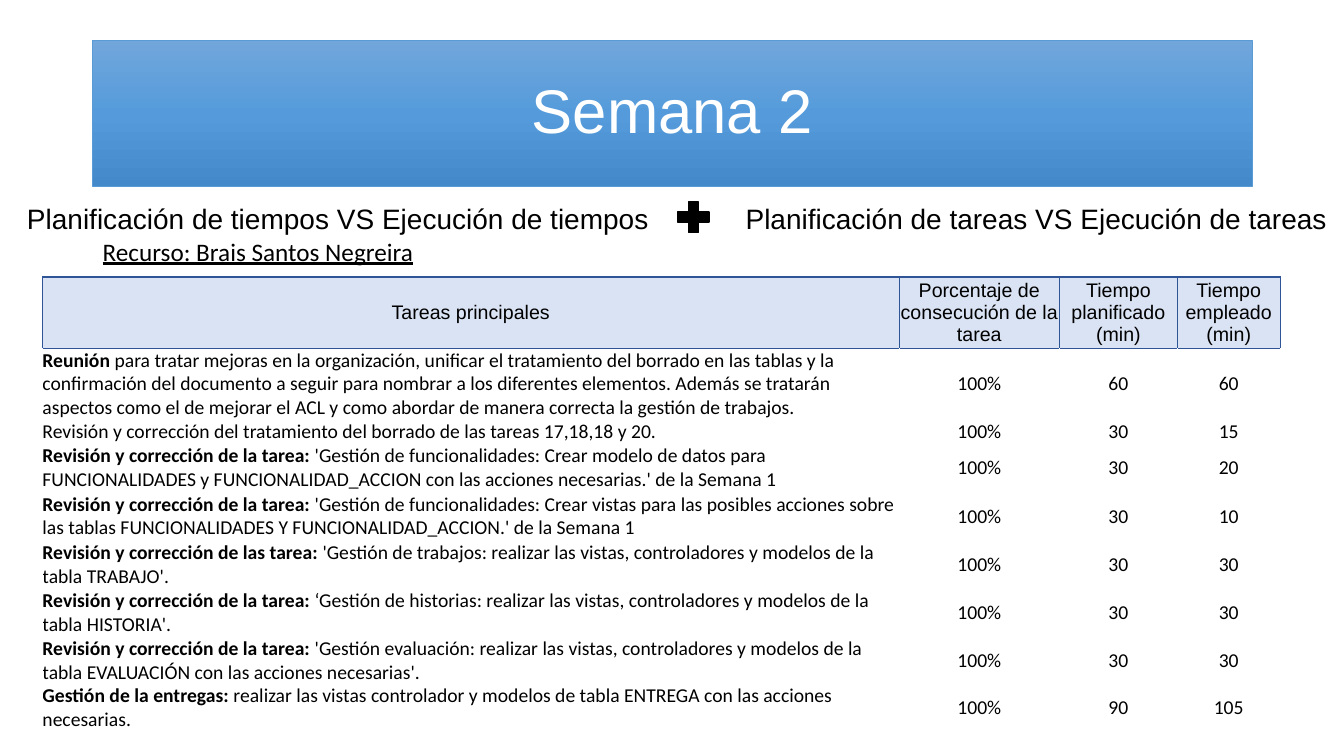
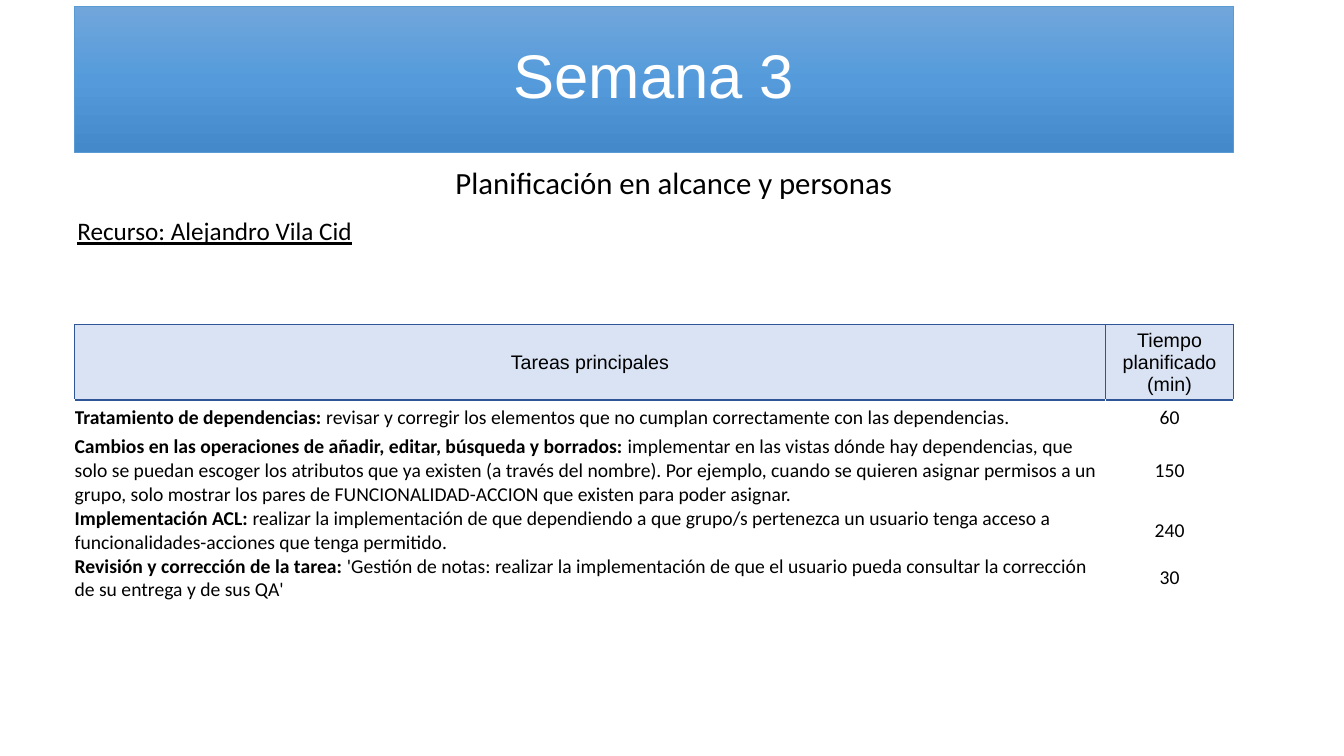
"""Builds the two weekly planning slides."""
from copy import deepcopy

from lxml.etree import SubElement
from pptx import Presentation
from pptx.dml.color import RGBColor
from pptx.enum.shapes import MSO_SHAPE
from pptx.enum.text import MSO_ANCHOR, PP_ALIGN
from pptx.oxml.ns import qn
from pptx.util import Cm, Pt

WHITE = RGBColor(0xFF, 0xFF, 0xFF)
BLACK = RGBColor(0, 0, 0)
SKY = (RGBColor(0x71, 0xA6, 0xDB), RGBColor(0x55, 0x9B, 0xDB), RGBColor(0x44, 0x8A, 0xCA))
EDGE = RGBColor(0x5B, 0x9B, 0xD5)
PALE = RGBColor(0xDA, 0xE3, 0xF3)
NAVY = RGBColor(0x2F, 0x55, 0x97)
SANS, BODY = "Arial", "Calibri"
BAND_W, BAND_H = 29.21, 3.68

REVIEW = "Revisión y corrección de la tarea: "
HEADS = ("Tareas principales", "Porcentaje de consecución de la tarea",
         "Tiempo planificado (min)", "Tiempo empleado (min)")
WEEK_TWO = [
    ("Reunión", " para tratar mejoras en la organización, unificar el tratamiento del borrado en "
     "las tablas y la confirmación del documento a seguir para nombrar a los diferentes "
     "elementos. Además se tratarán aspectos como el de mejorar el ACL y como abordar de manera "
     "correcta la gestión de trabajos.", "100%", "60", "60"),
    ("", "Revisión y corrección del tratamiento del borrado de las tareas 17,18,18 y 20.",
     "100%", "30", "15"),
    (REVIEW, "'Gestión de funcionalidades: Crear modelo de datos para FUNCIONALIDADES y "
     "FUNCIONALIDAD_ACCION con las acciones necesarias.' de la Semana 1", "100%", "30", "20"),
    (REVIEW, "'Gestión de funcionalidades: Crear vistas para las posibles acciones sobre las "
     "tablas FUNCIONALIDADES Y FUNCIONALIDAD_ACCION.' de la Semana 1", "100%", "30", "10"),
    ("Revisión y corrección de las tarea: ", "'Gestión de trabajos: realizar las vistas, "
     "controladores y modelos de la tabla TRABAJO'.", "100%", "30", "30"),
    (REVIEW, "‘Gestión de historias: realizar las vistas, controladores y modelos de la tabla "
     "HISTORIA'.", "100%", "30", "30"),
    (REVIEW, "'Gestión evaluación: realizar las vistas, controladores y modelos de la tabla "
     "EVALUACIÓN con las acciones necesarias'.", "100%", "30", "30"),
    ("Gestión de la entregas:", " realizar las vistas controlador y modelos de tabla ENTREGA con "
     "las acciones necesarias.", "100%", "90", "105"),
]
WEEK_THREE = [
    ("Tratamiento de dependencias: ", "revisar y corregir los elementos que no cumplan "
     "correctamente con las dependencias.", "60"),
    ("Cambios en las operaciones de añadir, editar, búsqueda y borrados: ", "implementar en las "
     "vistas dónde hay dependencias, que solo se puedan escoger los atributos que ya existen (a "
     "través del nombre). Por ejemplo, cuando se quieren asignar permisos a un grupo, solo "
     "mostrar los pares de FUNCIONALIDAD-ACCION que existen para poder asignar.", "150"),
    ("Implementación ACL: ", "realizar la implementación de que dependiendo a que grupo/s "
     "pertenezca un usuario tenga acceso a funcionalidades-acciones que tenga permitido.", "240"),
    (REVIEW, "'Gestión de notas: realizar la implementación de que el usuario pueda consultar la "
     "corrección de su entrega y de sus QA'", "30"),
]


def style(par, size, face, color=BLACK, align=PP_ALIGN.LEFT):
    """Set the font and alignment of a paragraph."""
    par.alignment = align
    par.font.size, par.font.name = Pt(size), face
    par.font.color.rgb = color


def add_band(slide, left, top, text):
    """Draw the title band with its corner at left, top."""
    band = slide.shapes.add_shape(MSO_SHAPE.RECTANGLE, Cm(left), Cm(top), Cm(BAND_W), Cm(BAND_H))
    band.shadow.inherit = False
    band.fill.gradient()
    band.fill.gradient_angle = 270
    stops = band._element.spPr.find(qn("a:gradFill")).find(qn("a:gsLst"))
    stops.insert(1, deepcopy(stops[0]))
    for stop, color, place in zip(band.fill.gradient_stops, SKY, (0, 0.5, 1)):
        stop.color.rgb, stop.position = color, place
    band.line.color.rgb, band.line.width = EDGE, Pt(0.5)
    frame = band.text_frame
    frame.vertical_anchor = MSO_ANCHOR.MIDDLE
    par = frame.paragraphs[0]
    par.text, par.line_spacing = text, 0.9
    style(par, 44, SANS, WHITE, PP_ALIGN.CENTER)


def add_label(slide, box, text, size, face, under=None):
    """Write one line of text in a box."""
    frame = slide.shapes.add_textbox(*map(Cm, box)).text_frame
    frame.word_wrap = True
    par = frame.paragraphs[0]
    par.text = text
    style(par, size, face)
    par.font.underline = under


def add_plus(slide, box):
    """Draw the black plus sign in a box."""
    plus = slide.shapes.add_shape(MSO_SHAPE.MATH_PLUS, *map(Cm, box))
    plus.shadow.inherit = False
    plus.fill.solid()
    plus.fill.fore_color.rgb = plus.line.color.rgb = BLACK
    plus.line.width = Pt(1)


def add_edges(cell, sides):
    """Draw navy borders on the given sides of a cell."""
    props = cell._tc.get_or_add_tcPr()
    for side in sides:
        line = SubElement(props, qn(f"a:ln{side}"), w=str(Pt(1)))
        SubElement(SubElement(line, qn("a:solidFill")), qn("a:srgbClr"), val=str(NAVY))


def prepare(cell, sides=""):
    """Clear the margins, centre upright and edge a cell; return its paragraph."""
    cell.margin_left = cell.margin_right = cell.margin_top = cell.margin_bottom = 0
    cell.vertical_anchor = MSO_ANCHOR.MIDDLE
    add_edges(cell, sides)
    return cell.text_frame.paragraphs[0]


def add_tasks(slide, left, top, widths, heights, heads, tasks):
    """Place the task table with its corner at left, top."""
    table = slide.shapes.add_table(len(heights), len(widths), Cm(left), Cm(top),
                                   Cm(sum(widths)), Cm(sum(heights))).table
    table.first_row = table.horz_banding = False
    for col, width in zip(table.columns, widths):
        col.width = Cm(width)
    for row, height in zip(table.rows, heights):
        row.height = Cm(height)
    for cell, head in zip(table.rows[0].cells, heads):
        par = prepare(cell, "LRTB")
        par.text = head
        style(par, 14, SANS, align=PP_ALIGN.CENTER)
        cell.fill.solid()
        cell.fill.fore_color.rgb = PALE
    for num, (lead, rest, *values) in enumerate(tasks, 1):
        for col, text in enumerate((rest, *values)):
            cell = table.cell(num, col)
            par = prepare(cell, "T" if num == 1 else "")
            if col == 0 and lead:
                run = par.add_run()
                run.text, run.font.bold = lead, True
            par.add_run().text = text
            style(par, 14, BODY, align=PP_ALIGN.CENTER if col else PP_ALIGN.LEFT)
            cell.fill.background()


def week_two(slide):
    """Fill the slide of week 2."""
    add_band(slide, 2.34, 1.02, "Semana 2")
    add_label(slide, (2.34, 5.82, 9.32, 1.02), "Recurso: Brais Santos Negreira", 18, BODY, True)
    add_tasks(slide, 1.07, 6.98, (21.59, 4.04, 2.97, 2.59),
              (1.8, 1.8, 0.6, 1.2, 1.26, 1.2, 1.2, 1.2, 1.2), HEADS, WEEK_TWO)
    add_label(slide, (18.54, 4.95, 15.34, 1.12),
              "Planificación de tareas VS Ejecución de tareas", 20, SANS)
    add_label(slide, (0.43, 4.95, 16.43, 1.12),
              "Planificación de tiempos VS Ejecución de tiempos", 20, SANS)
    add_plus(slide, (16.94, 4.95, 1.07, 1.04))


def week_three(slide):
    """Fill the slide of week 3."""
    add_band(slide, 1.88, 0.15, "Semana 3")
    add_label(slide, (11.23, 3.99, 11.61, 1.19), "Planificación en alcance y personas", 22, BODY)
    add_label(slide, (1.7, 5.31, 9.32, 1.02), "Recurso: Alejandro Vila Cid", 18, BODY, True)
    add_tasks(slide, 1.88, 8.18, (25.98, 3.23), (1.9, 0.89, 1.8, 1.2, 1.2),
              (HEADS[0], HEADS[2]), WEEK_THREE)


def main():
    """Build and save the deck."""
    deck = Presentation()
    deck.slide_width, deck.slide_height = Cm(33.87), Cm(19.05)
    for fill in (week_two, week_three):
        fill(deck.slides.add_slide(deck.slide_layouts[6]))
    deck.save("out.pptx")


if __name__ == "__main__":
    main()
